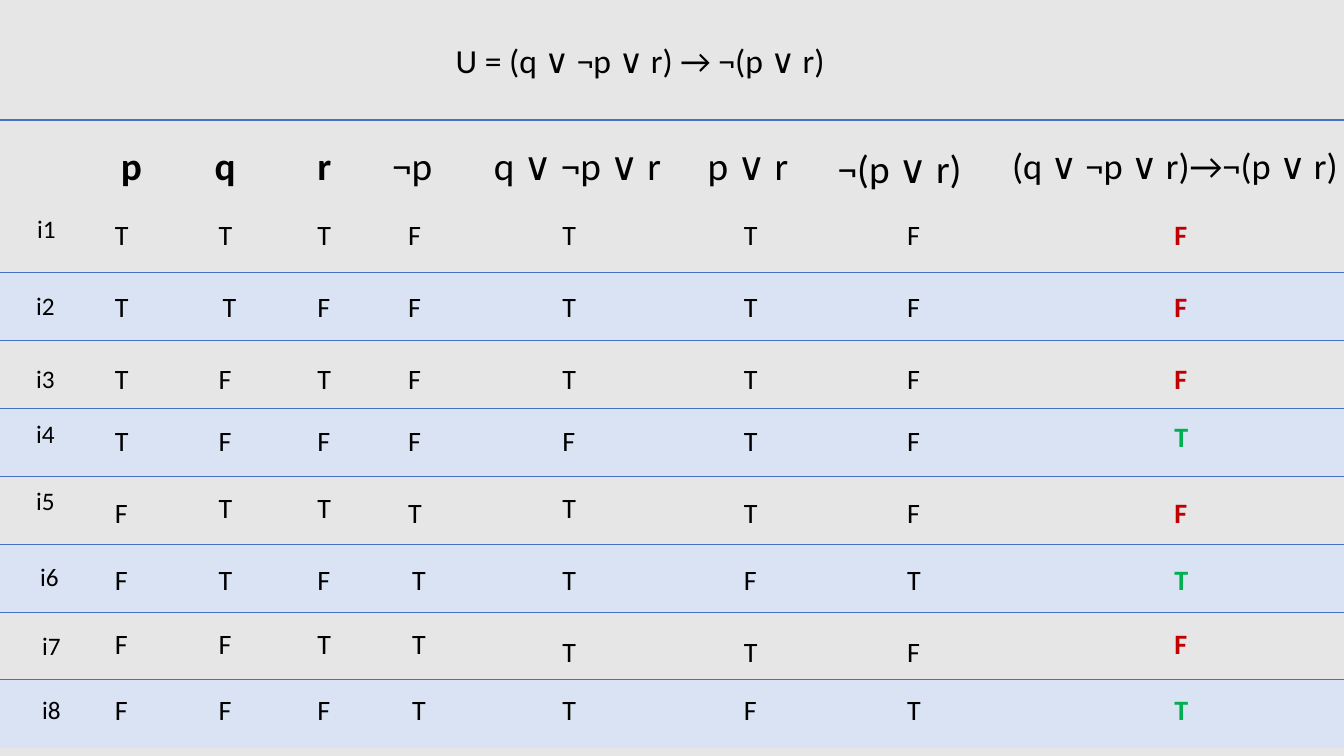
from itertools import product

from lxml import etree
from pptx import Presentation
from pptx import util as u
from pptx.dml.color import RGBColor
from pptx.enum import text as t
from pptx.oxml.ns import qn

HUES = {"back": "E7E6E6", "band": "DAE3F3", "rule": "4472C4",
        "ink": "000000", "true": "00B050", "false": "C00000"}
PLAIN = "{2D5ABB26-0587-4C30-8999-92F81FD0307C}"  # table style without grid

WIDTHS = [1.26, 0.93, 0.98, 0.77, 1.11, 2.1, 1.28, 1.73, 3.24]
HEADS = [
    ("p", 1.1, 1.35, 0.43, 28, True),
    ("q", 2.03, 1.35, 0.43, 28, True),
    ("r", 3.05, 1.35, 0.43, 28, True),
    ("¬p", 3.79, 1.35, 0.78, 28, False),
    ("q ∨ ¬p ∨ r", 4.8, 1.35, 2.51, 28, False),
    ("p ∨ r", 6.92, 1.35, 1.13, 28, False),
    ("¬(p ∨ r)", 8.21, 1.38, 3, 28, False),
    ("(q ∨ ¬p ∨ r)→¬(p ∨ r)", 9.94, 1.37, 3.78, 26, False),
]
NAMES = [(0.27, 2.07), (0.26, 2.83), (0.26, 3.55), (0.26, 4.1),
         (0.26, 4.77), (0.3, 5.52), (0.32, 6.2), (0.32, 6.84)]
COLS = [1.04, 2.07, 3.05, 3.95, 5.48, 7.28, 8.9, 11.55]
ROWS = [2.11, 2.82, 3.54, 4.15, 4.87, 5.53, 6.17, 6.82]
# Offsets of single values from the grid, by (row, column)
SHIFTS = {(1, 1): (0.04, 0), (3, 7): (0, -0.04)}
SHIFTS.update({(4, col): (0, -0.05) for col in (1, 2, 4)})
SHIFTS.update({(row, 3): (0.04, 0) for row in (5, 6, 7)})
SHIFTS.update({(6, col): (0, 0.08) for col in (4, 5, 6)})


def color(name):
    return RGBColor.from_string(HUES[name])


def write(frame, words, size=20, hue="ink", bold=False):
    frame.word_wrap = True
    frame.vertical_anchor = t.MSO_ANCHOR.TOP
    para = frame.paragraphs[0]
    para.alignment = t.PP_ALIGN.LEFT
    run = para.add_run()
    run.text = words
    run.font.name = "Calibri"
    run.font.size = u.Pt(size)
    run.font.bold = bold
    run.font.color.rgb = color(hue)


def top_rule(cell, width):
    """Draw a line along the top edge of a cell."""
    line = etree.Element(qn("a:lnT"), w=str(u.Pt(width)))
    fill = etree.SubElement(line, qn("a:solidFill"))
    etree.SubElement(fill, qn("a:srgbClr"), val=HUES["rule"])
    cell._tc.get_or_add_tcPr().insert(0, line)


class Board:
    def __init__(self, deck):
        self.slide = deck.slides.add_slide(deck.slide_layouts[5])
        fill = self.slide.background.fill
        fill.solid()
        fill.fore_color.rgb = color("back")

    def title(self, words, x, y, w, h):
        head = self.slide.shapes.title
        head.left, head.top, head.width, head.height = map(u.Inches, (x, y, w, h))
        write(head.text_frame, words, size=24)
        head.text_frame.auto_size = t.MSO_AUTO_SIZE.NONE

    def label(self, words, x, y, w, h, **style):
        box = self.slide.shapes.add_textbox(*map(u.Inches, (x, y, w, h)))
        write(box.text_frame, words, **style)
        box.text_frame.auto_size = t.MSO_AUTO_SIZE.SHAPE_TO_FIT_TEXT

    def grid(self, x, y, h, first):
        """Add the banded table; first is the height of the heading row."""
        count = len(ROWS) + 1
        frame = self.slide.shapes.add_table(
            count, len(WIDTHS), *map(u.Inches, (x, y, sum(WIDTHS), h)))
        frame.element.xpath(".//a:tableStyleId")[0].text = PLAIN
        table = frame.table
        table.first_row = table.horz_banding = False
        for col, width in zip(table.columns, WIDTHS):
            col.width = u.Inches(width)
        for i, row in enumerate(table.rows):
            row.height = u.Inches((h - first) / (count - 1) if i else first)
            for cell in row.cells:
                if i and i % 2 == 0:
                    cell.fill.solid()
                    cell.fill.fore_color.rgb = color("band")
                else:
                    cell.fill.background()
                if i % 2 == 0:
                    top_rule(cell, 0.75 if i else 1.5)


def truths():
    """Yield the eight values of each interpretation."""
    for p, q, r in product((True, False), repeat=3):
        left, right = q or not p or r, not (p or r)
        yield p, q, r, not p, left, p or r, right, not left or right


def main():
    deck = Presentation()
    deck.slide_width, deck.slide_height = u.Inches(13.33), u.Inches(7.5)
    board = Board(deck)
    board.title("U = (q ∨ ¬p ∨ r) → ¬(p ∨ r)", 4.42, 0.35, 4.48, 0.5)
    board.grid(-0.03, 1.19, 6.23, 0.84)
    for words, x, y, w, size, bold in HEADS:
        board.label(words, x, y, w, 0.57, size=size, bold=bold)
    for i, (x, y) in enumerate(NAMES, 1):
        board.label(f"i{i}", x, y, 0.5, 0.42, size=18)
    last = len(COLS) - 1
    for i, values in enumerate(truths()):
        for j, value in enumerate(values):
            dx, dy = SHIFTS.get((i, j), (0, 0))
            hue = "ink" if j < last else "true" if value else "false"
            board.label("T" if value else "F", COLS[j] + dx, ROWS[i] + dy,
                        0.43, 0.44, hue=hue, bold=j == last)
    deck.save("out.pptx")


if __name__ == "__main__":
    main()
